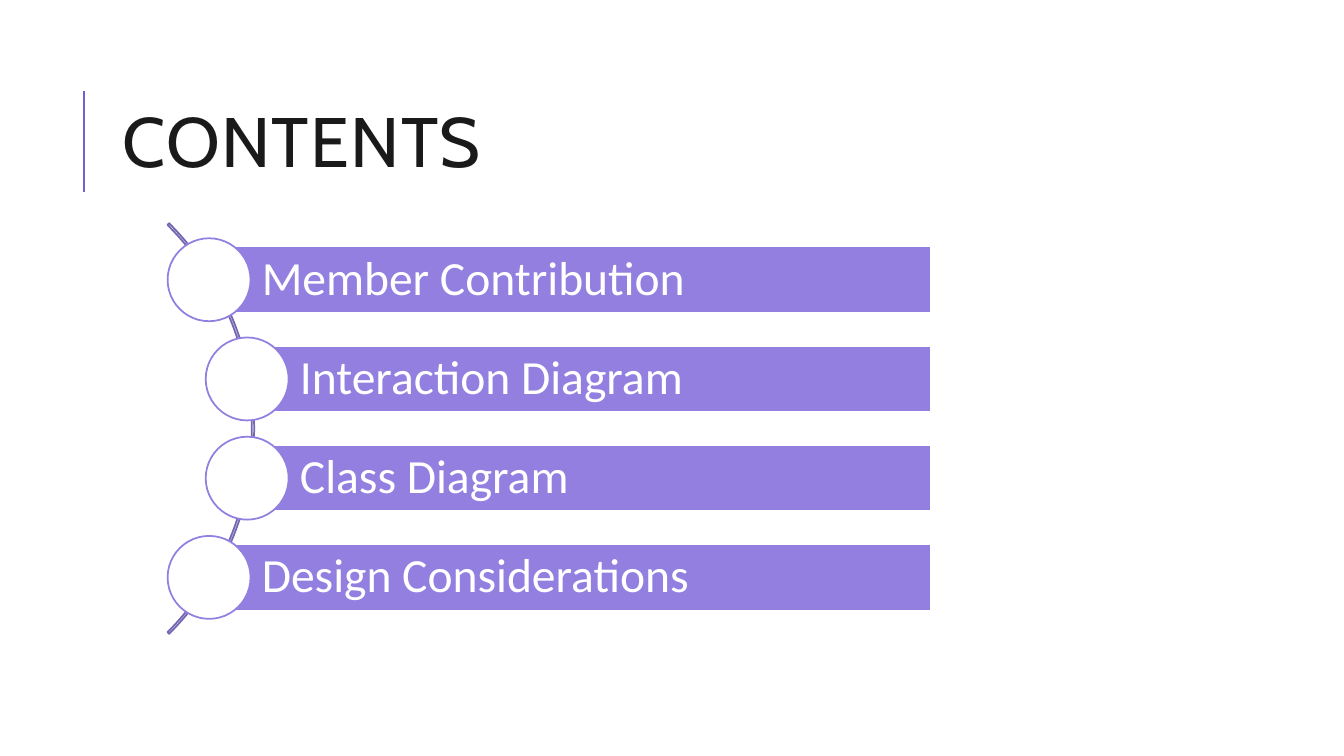
from lxml import etree
from pptx import Presentation
from pptx.dml.color import RGBColor
from pptx.enum.shapes import MSO_CONNECTOR, MSO_SHAPE
from pptx.enum.text import MSO_ANCHOR, PP_ALIGN
from pptx.oxml.ns import qn
from pptx.util import Cm, Pt

RECTANGLE, OVAL, BLOCK_ARC = MSO_SHAPE.RECTANGLE, MSO_SHAPE.OVAL, MSO_SHAPE.BLOCK_ARC
STRAIGHT = MSO_CONNECTOR.STRAIGHT
MIDDLE, LEFT = MSO_ANCHOR.MIDDLE, PP_ALIGN.LEFT

# Content: each topic with the horizontal centre of its circle (cm)
TITLE = "CONTENTS"
TOPICS = [
    ("Member Contribution", 5.27),
    ("Interaction Diagram", 6.23),
    ("Class Diagram", 6.23),
    ("Design Considerations", 5.27),
]
COLORS = {"rule": "755DD9", "title": "1A1A1A", "arc": "7566B3",
          "bar": "927FE0", "white": "FFFFFF"}

# Layout in cm
ARC_CENTER_X, ARC_CENTER_Y, ARC_SIZE = -0.91, 10.8, 14.63
ROW_STEP, BAR_HEIGHT, BAR_RIGHT, CIRCLE_SIZE = 2.5, 1.67, 23.46, 2.09


def color(name):
    return RGBColor.from_string(COLORS[name])


def add_shape(page, kind, left, top, width, height, fill, line):
    shape = page.shapes.add_shape(kind, Cm(left), Cm(top), Cm(width), Cm(height))
    shape.shadow.inherit = False
    if fill:
        shape.fill.solid()
        shape.fill.fore_color.rgb = color(fill)
    else:
        shape.fill.background()
    shape.line.color.rgb = color(line)
    shape.line.width = Pt(1.25)
    return shape


def write(box, text, font, size, ink, spacing, insets):
    frame = box.text_frame
    frame.word_wrap = True
    frame.vertical_anchor = MIDDLE
    frame.margin_left, frame.margin_top, frame.margin_right, frame.margin_bottom = map(Cm, insets)
    para = frame.paragraphs[0]
    para.alignment = LEFT
    para.line_spacing = spacing
    span = para.add_run()
    span.text = text
    span.font.name = font
    span.font.size = Pt(size)
    span.font.color.rgb = color(ink)
    return span


deck = Presentation()
deck.slide_width, deck.slide_height = Cm(33.87), Cm(19.05)
page = deck.slides.add_slide(deck.slide_layouts[6])

# Title with its vertical rule
rule = page.shapes.add_connector(STRAIGHT, Cm(2.12), Cm(4.83), Cm(2.12), Cm(2.29))
rule.line.color.rgb = color("rule")
rule.line.width = Pt(1.5)
etree.SubElement(rule._element.spPr, qn("a:effectLst"))
title = page.shapes.add_textbox(Cm(2.84), Cm(1.63), Cm(27), Cm(4.17))
span = write(title, TITLE, "Cabin", 50, "title", 0.8, (0.25, 0.13, 0.25, 0.13))
span.font._element.set("spc", "100")

# Arc behind the topics: from 315 to 45 degrees, very thin
arc = add_shape(page, BLOCK_ARC, ARC_CENTER_X - ARC_SIZE / 2, ARC_CENTER_Y - ARC_SIZE / 2,
                ARC_SIZE, ARC_SIZE, None, "arc")
for index, value in enumerate((189, 27, 0.4 / 100)):
    arc.adjustments[index] = value

# Topic bars, each starting at the centre of its circle
for row, (topic, center_x) in enumerate(TOPICS):
    center_y = ARC_CENTER_Y + (row - (len(TOPICS) - 1) / 2) * ROW_STEP
    bar = add_shape(page, RECTANGLE, center_x, center_y - BAR_HEIGHT / 2,
                    BAR_RIGHT - center_x, BAR_HEIGHT, "bar", "white")
    write(bar, topic, "Calibri", 34, "white", 0.9, (1.33, 0.22, 0.22, 0.22))
    add_shape(page, OVAL, center_x - CIRCLE_SIZE / 2, center_y - CIRCLE_SIZE / 2,
              CIRCLE_SIZE, CIRCLE_SIZE, "white", "bar")

deck.save("out.pptx")
